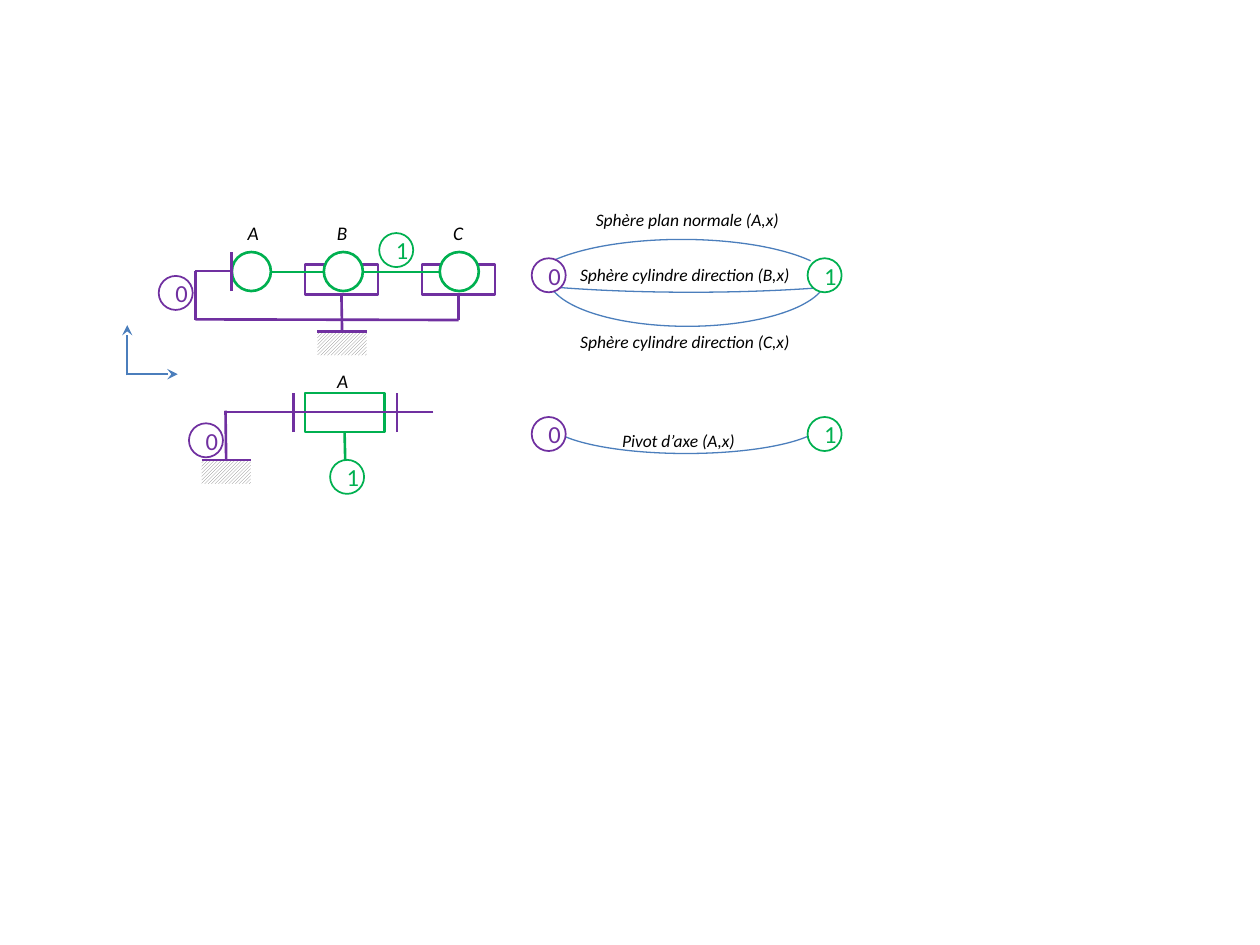
from typing import NamedTuple

from lxml.etree import SubElement
from pptx import Presentation
from pptx.dml.color import RGBColor
from pptx.enum.dml import MSO_PATTERN
from pptx.enum.shapes import MSO_CONNECTOR, MSO_SHAPE
from pptx.enum.text import MSO_ANCHOR, MSO_AUTO_SIZE, PP_ALIGN
from pptx.oxml.ns import qn
from pptx.util import Inches, Pt

COLORS = {"frame": "7030A0", "shaft": "00B050", "link": "4B7EBC",
          "hatch": "808080", "white": "FFFFFF", "text": "000000"}
FONT = "Calibri"
BALL_SIZE = 0.31
NODE_SIZE = 0.27
BOTTOM, TOP = 2, 0


class Box(NamedTuple):
    left: float
    top: float
    width: float
    height: float


class Arc(NamedTuple):
    box: Box
    start: float
    end: float
    flipped: bool = True


class Bar(NamedTuple):
    start: tuple[float, float]
    end: tuple[float, float]
    color: str = "frame"


class Node(NamedTuple):
    left: float
    top: float
    digit: str


class Label(NamedTuple):
    text: str
    box: Box
    size: int
    margin_right: float = 0.1


def rgb(name: str) -> RGBColor:
    return RGBColor.from_string(COLORS[name])


def add_outline(shapes, kind, box: Box, color: str, width: float, filled: bool = False):
    shape = shapes.add_shape(kind, *map(Inches, box))
    shape.shadow.inherit = False
    if filled:
        shape.fill.solid()
        shape.fill.fore_color.rgb = rgb("white")
    else:
        shape.fill.background()
    shape.line.color.rgb = rgb(color)
    shape.line.width = Pt(width)
    return shape


def add_arc(shapes, arc: Arc) -> None:
    shape = add_outline(shapes, MSO_SHAPE.ARC, arc.box, "link", 0.75)
    shape.adjustments[0] = arc.start
    shape.adjustments[1] = arc.end
    if arc.flipped:
        shape.element.spPr.xfrm.set("flipV", "1")


def add_bar(shapes, bar: Bar, width: float = 1.5, arrow: bool = False):
    connector = shapes.add_connector(MSO_CONNECTOR.STRAIGHT,
                                     *map(Inches, bar.start + bar.end))
    connector.line.color.rgb = rgb(bar.color)
    connector.line.width = Pt(width)
    if arrow:
        SubElement(connector.line._get_or_add_ln(), qn("a:tailEnd"), type="stealth")
    SubElement(connector.element.spPr, qn("a:effectLst"))
    return connector


def add_ground(shapes, left: float, top: float):
    width = 0.39
    shape = shapes.add_shape(MSO_SHAPE.RECTANGLE,
                             *map(Inches, (left, top, width, 0.19)))
    shape.shadow.inherit = False
    shape.fill.patterned()
    shape.fill.pattern = MSO_PATTERN.LIGHT_UPWARD_DIAGONAL
    shape.fill.fore_color.rgb = rgb("hatch")
    shape.fill.back_color.rgb = rgb("white")
    shape.line.fill.background()
    add_bar(shapes, Bar((left, top), (left + width, top)))
    return shape


def write(shape, text: str, size: int, color: str, italic: bool = False) -> None:
    shape.text_frame.text = text
    paragraph = shape.text_frame.paragraphs[0]
    paragraph.alignment = PP_ALIGN.CENTER
    font = paragraph.runs[0].font
    font.name, font.size, font.color.rgb = FONT, Pt(size), rgb(color)
    if italic:
        font.italic = True


def add_node(shapes, node: Node) -> None:
    color = "frame" if node.digit == "0" else "shaft"
    box = Box(node.left, node.top, NODE_SIZE, NODE_SIZE)
    shape = add_outline(shapes, MSO_SHAPE.OVAL, box, color, 1, filled=True)
    shape.text_frame.vertical_anchor = MSO_ANCHOR.MIDDLE
    write(shape, node.digit, 14, color)


def add_label(shapes, label: Label) -> None:
    shape = shapes.add_textbox(*map(Inches, label.box))
    frame = shape.text_frame
    frame.word_wrap = True
    frame.auto_size = MSO_AUTO_SIZE.SHAPE_TO_FIT_TEXT
    frame.margin_right = Inches(label.margin_right)
    write(shape, label.text, label.size, "text", italic=True)


ARCS = [
    Arc(Box(4.35, 1.81, 2.21, 0.78), 109.58, 214.35),
    Arc(Box(3.49, 1.81, 3.99, 0.51), 115.12, 208.72),
    Arc(Box(4.17, 1.9, 2.48, 0.78), 115.12, 208.72, flipped=False),
    Arc(Box(4.34, 3.07, 2.21, 0.53), 109.58, 214.35),
]
BARS = [
    # Plane contact at A and frame of the upper mechanism
    Bar((1.84, 2.31), (1.84, 2)),
    Bar((1.55, 2.15), (1.84, 2.15)),
    Bar((1.55, 2.54), (1.55, 2.15)),
    Bar((1.55, 2.535), (3.64, 2.54)),
    # Shaft between the balls
    Bar((2.16, 2.16), (2.57, 2.16), "shaft"),
    Bar((2.88, 2.16), (3.49, 2.16), "shaft"),
    # Stops and axis of the pivot
    Bar((2.33, 3.43), (2.33, 3.12)),
    Bar((3.15, 3.43), (3.15, 3.12)),
    Bar((3.44, 3.27), (1.79, 3.27)),
]
AXES = [
    Bar((1.01, 2.97), (1.41, 2.97), "link"),
    Bar((1.01, 2.98), (1.01, 2.58), "link"),
]
NODES = [
    Node(2.62, 3.65, "1"), Node(3.01, 1.85, "1"),
    Node(1.26, 2.19, "0"), Node(1.5, 3.36, "0"),
    Node(4.22, 2.05, "0"), Node(6.41, 2.05, "1"),
    Node(4.22, 3.31, "0"), Node(6.41, 3.31, "1"),
]
LABELS = [
    Label("A", Box(1.84, 1.71, 0.34, 0.29), 11),
    Label("B", Box(2.57, 1.71, 0.29, 0.29), 11),
    Label("C", Box(3.49, 1.71, 0.29, 0.29), 11),
    Label("A", Box(2.55, 2.88, 0.34, 0.29), 11),
    Label("Sphère plan normale (A,x)", Box(4.56, 1.61, 1.85, 0.27), 10, 0.16),
    Label("Sphère cylindre direction (B,x)", Box(4.47, 2.05, 1.99, 0.27), 10, 0.16),
    Label("Sphère cylindre direction (C,x)", Box(4.47, 2.58, 1.99, 0.27), 10, 0.16),
    Label("Pivot d’axe (A,x)", Box(4.42, 3.36, 1.99, 0.27), 10, 0.16),
]


def main() -> None:
    presentation = Presentation()
    presentation.slide_width, presentation.slide_height = Inches(10), Inches(7.5)
    shapes = presentation.slides.add_slide(presentation.slide_layouts[6]).shapes

    # Links of the two graphs
    for arc in ARCS:
        add_arc(shapes, arc)

    # Housings, balls and grounds
    housing_b, housing_c = [
        add_outline(shapes, MSO_SHAPE.RECTANGLE, Box(left, 2.1, 0.58, 0.24), "frame", 1.5)
        for left in (2.42, 3.35)]
    for left, filled in ((1.84, False), (2.57, True), (3.49, True)):
        add_outline(shapes, MSO_SHAPE.OVAL, Box(left, 2, BALL_SIZE, BALL_SIZE),
                    "shaft", 1.5, filled)
    upper_ground = add_ground(shapes, 2.52, 2.63)
    lower_ground = add_ground(shapes, 1.6, 3.65)
    sleeve = add_outline(shapes, MSO_SHAPE.RECTANGLE, Box(2.42, 3.12, 0.63, 0.31),
                         "shaft", 1.5, filled=True)

    # Bars, then those that are joined to a part
    for bar in BARS:
        add_bar(shapes, bar)
    post = add_bar(shapes, Bar((2.71, 2.63), (2.72, 2.34)))
    post.begin_connect(upper_ground, TOP)
    post.end_connect(housing_b, BOTTOM)
    add_bar(shapes, Bar((3.64, 2.34), (3.64, 2.54))).begin_connect(housing_c, BOTTOM)
    add_bar(shapes, Bar((1.79, 3.65), (1.79, 3.26))).begin_connect(lower_ground, TOP)
    add_bar(shapes, Bar((2.74, 3.43), (2.74, 3.65), "shaft")).begin_connect(sleeve, BOTTOM)

    # Numbered parts, axes and labels
    for node in NODES:
        add_node(shapes, node)
    axes = shapes.add_group_shape()
    for axis in AXES:
        add_bar(axes.shapes, axis, width=1, arrow=True)
    for label in LABELS:
        add_label(shapes, label)

    presentation.save("out.pptx")


if __name__ == "__main__":
    main()
